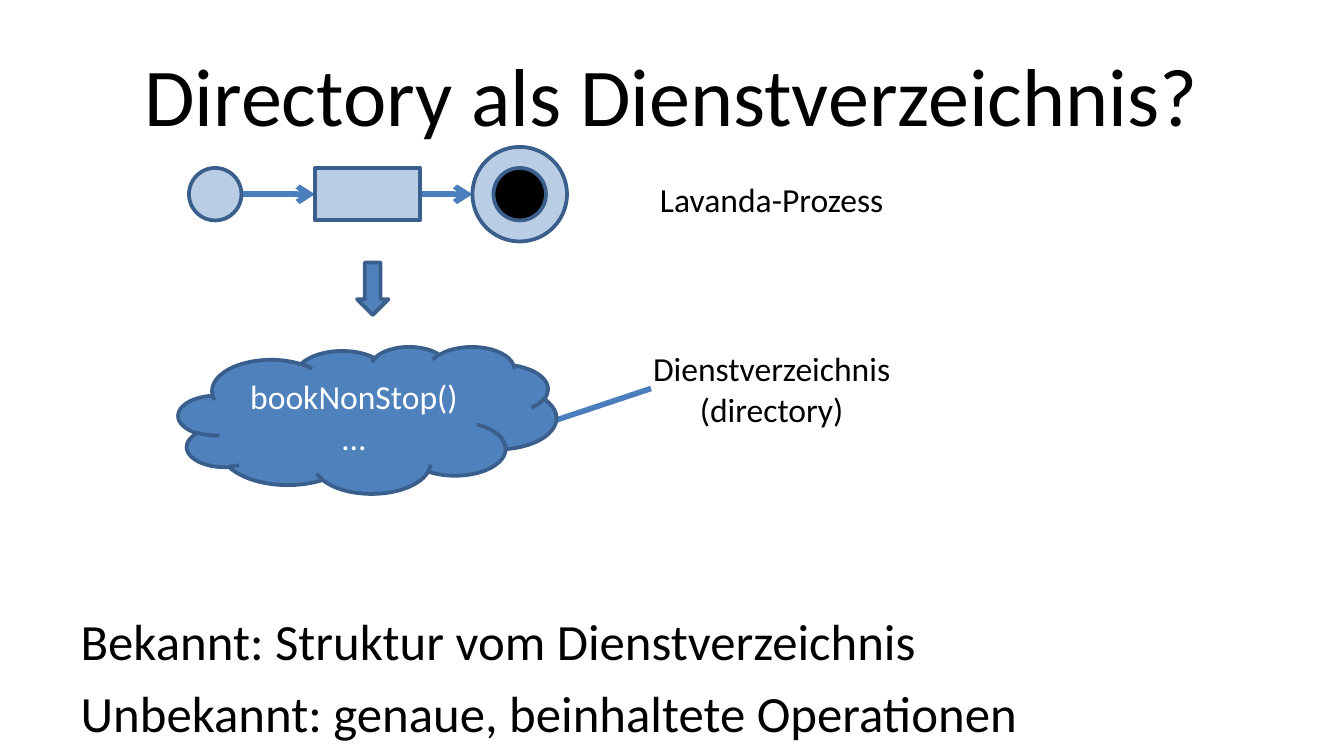
from pptx import Presentation
from pptx.dml.color import RGBColor
from pptx.enum.shapes import MSO_CONNECTOR, MSO_SHAPE
from pptx.enum.text import MSO_ANCHOR, MSO_AUTO_SIZE, PP_ALIGN
from pptx.oxml.ns import qn
from pptx.util import Inches, Pt
from lxml.etree import SubElement

deck = Presentation()
deck.slide_width = Inches(10)
deck.slide_height = deck.slide_width * 9 // 16
unit = deck.slide_width / 25.6  # one grid cell
slide = deck.slides.add_slide(deck.slide_layouts[1])
shapes = slide.shapes


def grid(*cells):
    return [round(cell * unit) for cell in cells]


def style(frame, text, size, color, align):
    frame.text = text
    frame.word_wrap = True
    frame.auto_size = MSO_AUTO_SIZE.NONE
    for para in frame.paragraphs:
        para.alignment = align
        for run in para.runs:
            run.font.size = Pt(size)
            run.font.name = "Calibri"
            run.font.color.rgb = RGBColor.from_string(color)


# Title
title = shapes.title
title.left, title.top = Inches(0.5), Inches(0.23)
title.width, title.height = Inches(9), Inches(0.94)
style(title.text_frame, "Directory als Dienstverzeichnis?", 44, "000000", PP_ALIGN.CENTER)

# Body lines without bullets
body = slide.placeholders[1]
body.left, body.top = Inches(0.5), Inches(4.49)
body.width, body.height = Inches(9), Inches(1.1)
style(body.text_frame,
      "Bekannt: Struktur vom Dienstverzeichnis\n"
      "Unbekannt: genaue, beinhaltete Operationen", 27.2, "000000", PP_ALIGN.LEFT)
for para in body.text_frame.paragraphs:
    props = para._p.get_or_add_pPr()
    props.set("marL", str(Inches(0.38)))
    props.set("indent", str(-Inches(0.38)))
    SubElement(props, qn("a:buNone"))

# Flow arrows and the line from cloud to label, in grid cells
links = [
    (4.6, 3.7, 6, 3.7, True),
    (8, 3.7, 9, 3.7, True),
    (10.6, 8, 12.4, 7.4, False),
]
for *ends, arrow in links:
    link = shapes.add_connector(MSO_CONNECTOR.STRAIGHT, *grid(*ends))
    link.line.color.rgb = RGBColor.from_string("4B7EBC")
    link.line.width = Pt(3)
    if arrow:
        SubElement(link.get_or_add_ln(), qn("a:tailEnd"), type="arrow")
    SubElement(link._element.spPr, qn("a:effectLst"))

# Process nodes, down arrow and cloud, in grid cells
nodes = [
    (MSO_SHAPE.DOWN_ARROW, 6.8, 5, 0.6, 1, "4F81BD"),
    (MSO_SHAPE.OVAL, 3.6, 3.2, 1, 1, "B9CDE5"),
    (MSO_SHAPE.OVAL, 9, 2.8, 1.8, 1.8, "B9CDE5"),
    (MSO_SHAPE.OVAL, 9.4, 3.2, 1, 1, "000000"),
    (MSO_SHAPE.RECTANGLE, 6, 3.2, 2, 1, "B9CDE5"),
    (MSO_SHAPE.CLOUD, 3.4, 6.6, 7.2, 2.8, "4F81BD"),
]
for kind, *box, fill in nodes:
    node = shapes.add_shape(kind, *grid(*box))
    node.shadow.inherit = False
    node.fill.solid()
    node.fill.fore_color.rgb = RGBColor.from_string(fill)
    node.line.color.rgb = RGBColor.from_string("3A5F8C")
    node.line.width = Pt(2)
    if kind == MSO_SHAPE.CLOUD:
        style(node.text_frame, "bookNonStop()\n…", 18, "FFFFFF", PP_ALIGN.CENTER)

# Labels
for row, text in [(6.6, "Dienstverzeichnis (directory)"), (3, "Lavanda-Prozess")]:
    label = shapes.add_textbox(*grid(11.6, row, 6.2, 1.6))
    style(label.text_frame, text, 18, "000000", PP_ALIGN.CENTER)
    label.text_frame.vertical_anchor = MSO_ANCHOR.MIDDLE

deck.save("out.pptx")
